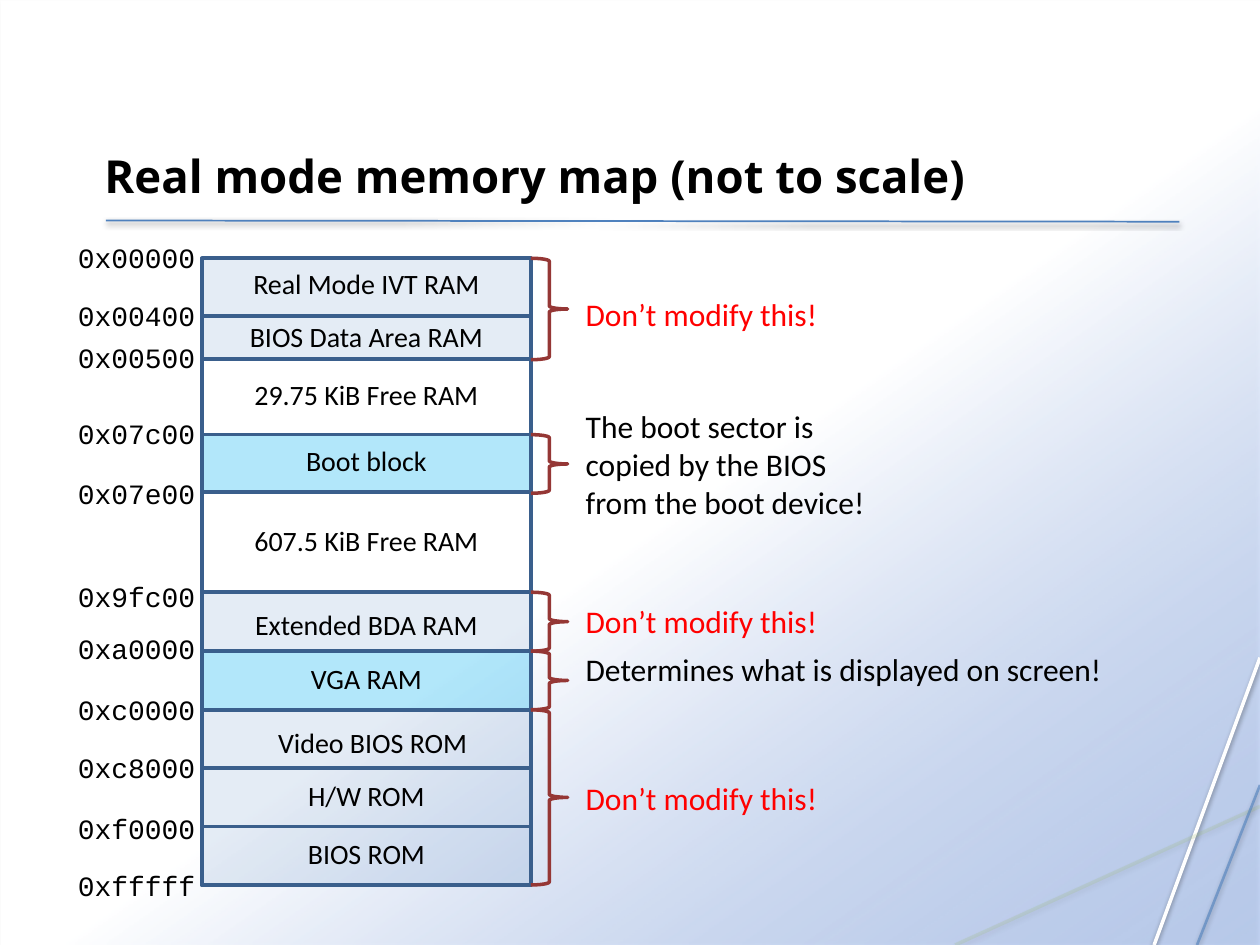
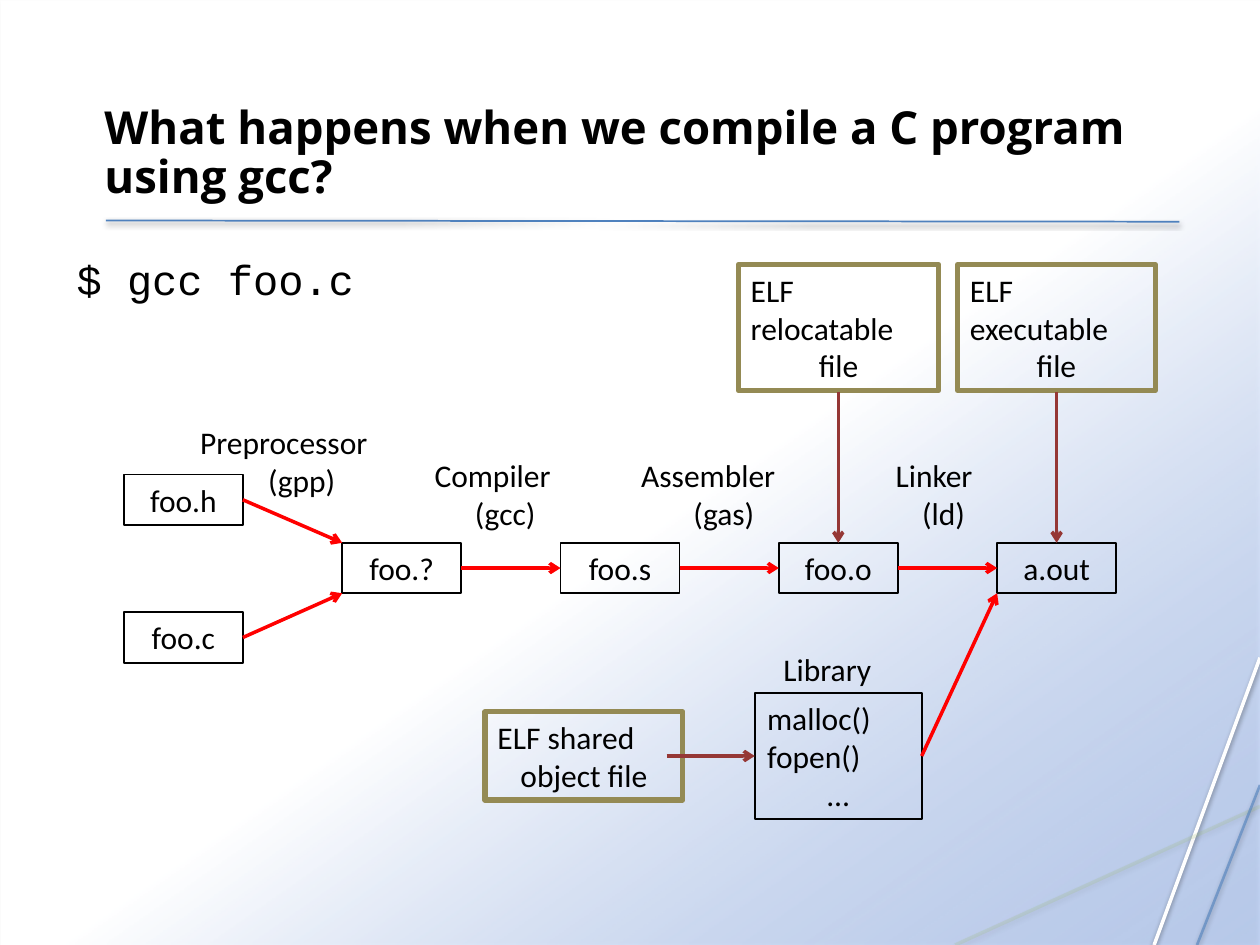
from dataclasses import dataclass
from typing import NamedTuple

import lxml.etree
import pptx
import pptx.dml.color
import pptx.enum.shapes
import pptx.enum.text
import pptx.oxml
import pptx.oxml.ns
import pptx.util

Pt = pptx.util.Pt
Rgb = pptx.dml.color.RGBColor
Kind = pptx.enum.shapes.MSO_SHAPE
Align = pptx.enum.text.PP_ALIGN
Anchor = pptx.enum.text.MSO_ANCHOR
qn = pptx.oxml.ns.qn
NS = 'xmlns:a="http://schemas.openxmlformats.org/drawingml/2006/main"'


@dataclass(frozen=True)
class Theme:
    black: str = "000000"
    white: str = "FFFFFF"
    red: str = "FF0000"
    blue: str = "4F81BD"
    green: str = "9BBB59"
    sky: str = "A4C4FF"
    cyan: str = "00B0F0"
    navy: str = "3A5F8C"
    wine: str = "953735"
    khaki: str = "948A54"
    head: str = "Open Sans"
    body: str = "Calibri"
    code: str = "Courier New"
    title: float = 26
    shell: float = 24
    note: float = 18
    cell: float = 16


T = Theme()


class Box(NamedTuple):
    left: float
    top: float
    wide: float
    high: float

    @property
    def right(self) -> float:
        return self.left + self.wide

    @property
    def base(self) -> float:
        return self.top + self.high

    @property
    def mid(self) -> float:
        return self.top + self.high / 2

    @property
    def axis(self) -> float:
        return self.left + self.wide / 2

    def pts(self) -> list:
        return [Pt(v) for v in self]


class Font(NamedTuple):
    face: str = T.body
    size: float = T.note
    color: str = T.black
    bold: bool = False


# Shared drawing tools
def fade(fill, alpha: float) -> None:
    """Give the one colour inside a fill element an opacity in percent."""
    tint = next(fill.iter(qn("a:srgbClr")))
    lxml.etree.SubElement(tint, qn("a:alpha")).set("val", str(int(alpha * 1000)))


def shade(item, alpha: float, drop: float) -> None:
    """Add a soft black shadow that falls straight down."""
    item._element.spPr.append(pptx.oxml.parse_xml(
        f'<a:effectLst {NS}><a:outerShdw blurRad="{int(Pt(3.1))}" dist="{int(Pt(drop))}" '
        f'dir="5400000" rotWithShape="0"><a:srgbClr val="{T.black}">'
        f'<a:alpha val="{alpha * 1000}"/></a:srgbClr></a:outerShdw></a:effectLst>'))


def write(frame, lines: list[str], font: Font, first=Align.LEFT, last=None) -> None:
    """Fill a frame; the last paragraph may have its own alignment."""
    frame.word_wrap = True
    frame.vertical_anchor = Anchor.TOP
    frame.text = "\n".join(lines)
    for para in frame.paragraphs:
        para.alignment = first
        for run in para.runs:
            run.font.name = font.face
            run.font.size = Pt(font.size)
            run.font.bold = font.bold
            run.font.color.rgb = Rgb.from_string(font.color)
    if last is not None:
        frame.paragraphs[-1].alignment = last


def label(slide, box: Box, lines: list[str], font: Font = Font(), first=Align.LEFT, last=None):
    frame = slide.shapes.add_textbox(*box.pts()).text_frame
    write(frame, lines, font, first, last)
    return frame


def shape(slide, box: Box, line: str, width: float, fill: str = "", alpha: float = 100,
          kind=Kind.RECTANGLE):
    item = slide.shapes.add_shape(kind, *box.pts())
    item.shadow.inherit = False
    item.line.color.rgb = Rgb.from_string(line)
    item.line.width = Pt(width)
    if fill:
        item.fill.solid()
        item.fill.fore_color.rgb = Rgb.from_string(fill)
        fade(item._element.spPr.find(qn("a:solidFill")), alpha)
    else:
        item.fill.background()
    return item


def line(slide, start: tuple, end: tuple, color: str, width: float, alpha: float = 100,
         arrow: bool = False, shadow: bool = False) -> None:
    item = slide.shapes.add_connector(
        pptx.enum.shapes.MSO_CONNECTOR.STRAIGHT, *[Pt(v) for v in start + end])
    item.line.color.rgb = Rgb.from_string(color)
    item.line.width = Pt(width)
    stroke = item.line._get_or_add_ln()
    if alpha < 100:
        fade(stroke, alpha)
    if arrow:
        lxml.etree.SubElement(stroke, qn("a:tailEnd")).set("type", "arrow")
    if shadow:
        shade(item, 38, 1.6)
    else:
        lxml.etree.SubElement(item._element.spPr, qn("a:effectLst"))


# Backdrop, rules and title of every slide
def start(deck, title: str):
    slide = deck.slides.add_slide(deck.slide_layouts[6])
    slide.background.fill.solid()
    slide.background.fill.fore_color.rgb = Rgb.from_string(T.white)

    wash = slide.shapes.add_shape(Kind.RECTANGLE, *Box(0, 0, 720, 540).pts())
    wash.line.fill.background()
    wash._element.spPr.find(qn("a:prstGeom")).addnext(pptx.oxml.parse_xml(
        f'<a:gradFill {NS} rotWithShape="1"><a:gsLst>'
        f'<a:gs pos="54000"><a:srgbClr val="{T.white}"/></a:gs>'
        f'<a:gs pos="100000"><a:srgbClr val="{T.sky}"><a:alpha val="54000"/></a:srgbClr></a:gs>'
        f'</a:gsLst><a:lin ang="{55 * 60000}" scaled="0"/></a:gradFill>'))
    shade(wash, 35, 1.8)

    for begin, end, color, width, alpha in (
            ((720, 375.8), (659.5, 540), T.white, 2, 100),
            ((720, 460.8), (545.8, 540), T.green, 2, 16),
            ((720, 448.6), (684, 540), T.blue, 1.5, 60),
            ((60.5, 126), (673.9, 126.7), T.blue, 1, 100)):
        line(slide, begin, end, color, width, alpha, shadow=True)

    frame = label(slide, Box(52.6, 23.8, 620.6, 95.8), [title],
                  Font(T.head, T.title, bold=True))
    frame.vertical_anchor = Anchor.BOTTOM
    frame.paragraphs[0].line_spacing = 0.9
    return slide


# Memory map
class Zone(NamedTuple):
    name: str
    top: float
    text: float
    code: str
    tag: float
    fill: str = ""
    alpha: float = 100
    shift: float = 0


class Note(NamedTuple):
    text: str
    top: float
    wide: float
    begin: float
    end: float
    color: str = T.red


END = 505.7
SAFE = (T.blue, 15)
USED = (T.cyan, 30)
ZONES = [
    Zone("Real Mode IVT RAM", 147.6, 149, "0x00000", 133.9, *SAFE),
    Zone("BIOS Data Area RAM", 180.7, 179.3, "0x00400", 167, *SAFE),
    Zone("29.75 KiB Free RAM", 205.2, 212.4, "0x00500", 190.8),
    Zone("Boot block", 248.4, 249.8, "0x07c00", 234.7, *USED),
    Zone("607.5 KiB Free RAM", 281.2, 295.9, "0x07e00", 268.6),
    Zone("Extended BDA RAM", 338.4, 343.4, "0x9fc00", 327.6, *SAFE),
    Zone("VGA RAM", 372.1, 374.4, "0xa0000", 357.1, *USED),
    Zone("Video BIOS ROM", 405.6, 411.1, "0xc0000", 392.4, *SAFE, 3.6),
    Zone("H/W ROM", 439, 441.4, "0xc8000", 425.5, *SAFE),
    Zone("BIOS ROM", 472.4, 474.5, "0xf0000", 460.1, *SAFE),
]
WARN = "Don’t modify this!"
NOTES = [
    Note(WARN, 164.9, 252, 147.6, 205.6),
    Note("The boot sector is copied by the BIOS from the boot device!",
         229, 180.7, 248.4, 281.9, T.black),
    Note(WARN, 340.6, 269, 338.4, 372.1),
    Note("Determines what is displayed on screen!", 367.9, 333.4, 372.1, 405.6, T.black),
    Note(WARN, 441.4, 268.6, 405.6, END),
]


def memory(deck) -> None:
    slide = start(deck, "Real mode memory map (not to scale)")
    left, wide = 115.4, 188
    shape(slide, Box(left, ZONES[0].top, wide, END - ZONES[0].top), T.navy, 2)
    ends = [zone.top for zone in ZONES[1:]] + [END]
    for zone, end in zip(ZONES, ends):
        if zone.fill:
            shape(slide, Box(left, zone.top, wide, end - zone.top), T.navy, 2,
                  zone.fill, zone.alpha)
        label(slide, Box(left + zone.shift, zone.text, wide, 28.8), [zone.name],
              Font(size=T.cell), Align.CENTER)
    tags = [(zone.code, zone.tag) for zone in ZONES] + [("0xfffff", 492.5)]
    for code, top in tags:
        label(slide, Box(37.4, top, 84, 26), [code], Font(T.code, T.cell))

    # Braces and remarks
    for note in NOTES:
        shape(slide, Box(left + wide, note.begin, 21, note.end - note.begin), T.wine, 2,
              kind=Kind.RIGHT_BRACE)
        label(slide, Box(327.6, note.top, note.wide, 32), [note.text], Font(color=note.color))


# Compiler chain
def node(slide, box: Box, lines: list[str], color: str = T.black, width: float = 1,
         first=Align.LEFT) -> Box:
    item = shape(slide, box, color, width)
    write(item.text_frame, lines, Font(), first, Align.CENTER)
    return box


def chain(deck) -> None:
    slide = start(deck, "What happens when we compile a C program using gcc?")
    label(slide, Box(36.7, 141.1, 648, 38.2), ["$ gcc foo.c"], Font(T.code, T.shell))

    def file(name: str, col: int, top: float) -> Box:
        return node(slide, Box(70.8 + 124.75 * col, top, 68, 28.8), [name],
                    first=Align.CENTER)

    def arrow(begin: tuple, end: tuple, color: str = T.red) -> None:
        line(slide, begin, end, color, 2, arrow=True)

    # Files
    header, source = file("foo.h", 0, 271.2), file("foo.c", 0, 349.9)
    steps = [file(name, col, 310.2)
             for col, name in enumerate(("foo.?", "foo.s", "foo.o", "a.out"), 1)]
    arrow((header.right, header.mid), (steps[0].left, steps[0].top))
    arrow((source.right, source.mid), (steps[0].left, steps[0].base))
    for one, two in zip(steps, steps[1:]):
        arrow((one.right, one.mid), (two.left, two.mid))

    # Tools
    for name, tool, left, top, wide in (
            ("Preprocessor", "(gpp)", 107.3, 238.3, 130.3),
            ("Compiler", "(gcc)", 241.2, 257, 95),
            ("Assembler", "(gas)", 359.3, 257, 108.7),
            ("Linker", "(ld)", 504.7, 257, 69.1)):
        label(slide, Box(left, top, wide, 50.4), [name, tool], last=Align.CENTER)

    # File formats
    for word, left, wide, goal in (("relocatable", 421.9, 114.5, steps[2]),
                                   ("executable", 547.2, 113, steps[3])):
        card = node(slide, Box(left, 151.2, wide, 72), ["ELF", word, "file"], T.khaki, 3)
        arrow((goal.axis, card.base + 0.7), (goal.axis, goal.top), T.wine)

    # Library
    node(slide, Box(277.2, 406.8, 113, 50.4), ["ELF shared", "object file"], T.khaki, 3)
    store = node(slide, Box(431.3, 396, 95.4, 72), ["malloc()", "fopen()", "…"])
    label(slide, Box(440.6, 367.9, 77, 28.8), ["Library"])
    arrow((store.right, store.mid), (steps[3].left, steps[3].base))
    arrow((380.9, store.mid), (store.left, store.mid), T.wine)


deck = pptx.Presentation()
deck.slide_width, deck.slide_height = Pt(720), Pt(540)
memory(deck)
chain(deck)
deck.save("out.pptx")
